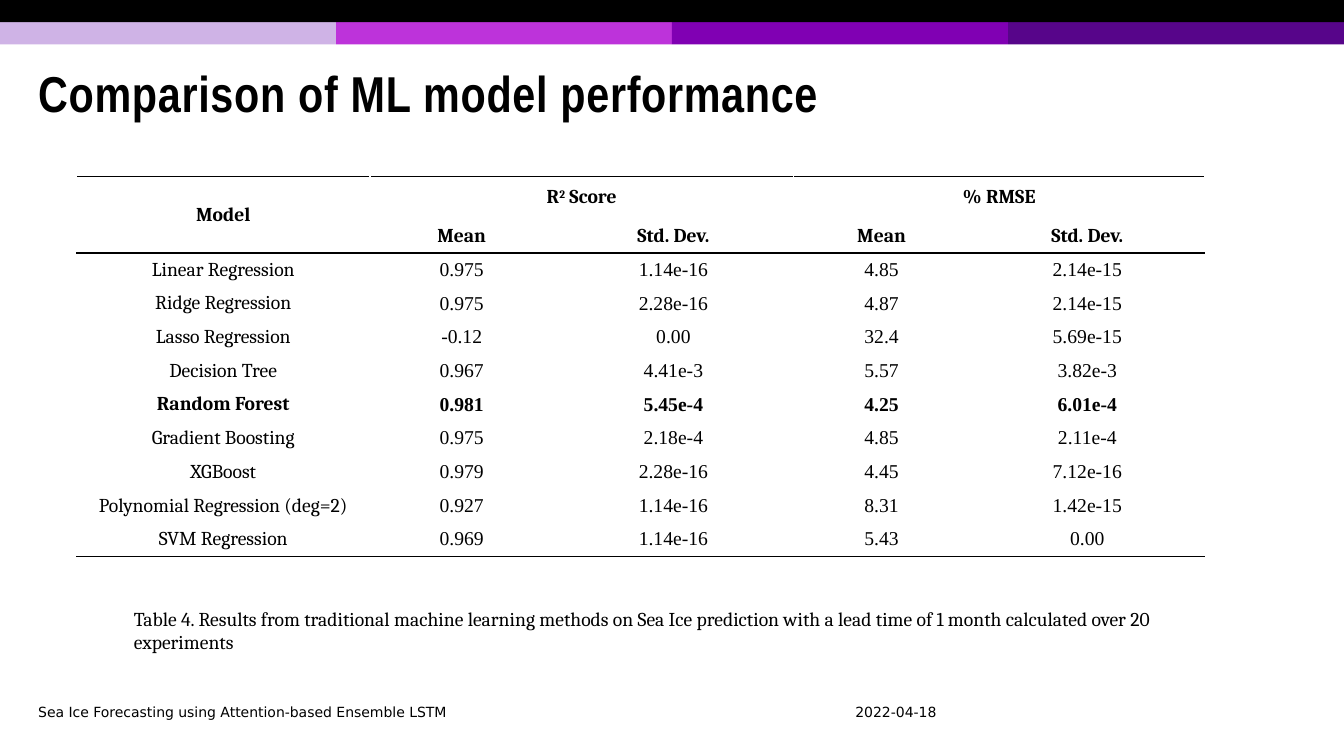
import pptx
import pptx.util
import pptx.dml.color
import pptx.enum.shapes
import pptx.enum.text
import pptx.oxml.ns
import lxml.etree

THEME = {
    "black": "000000",
    "white": "FFFFFF",
    "bands": ["CFB3E6", "BD33DA", "8000B3", "57058A"],
    "title": ("Arial Narrow", 36),
    "label": ("Cambria", 14),
    "value": ("Times New Roman", 14),
    "footer": ("DejaVu Sans", 10),
}
LEFT = pptx.enum.text.PP_ALIGN.LEFT
CENTER = pptx.enum.text.PP_ALIGN.CENTER
TOP = pptx.enum.text.MSO_ANCHOR.TOP
MIDDLE = pptx.enum.text.MSO_ANCHOR.MIDDLE
Inches = pptx.util.Inches

presentation = pptx.Presentation()
presentation.slide_width = Inches(13.33)
presentation.slide_height = Inches(7.5)
slide = presentation.slides.add_slide(presentation.slide_layouts[6])


def format_paragraph(paragraph, style, alignment, bold=False):
    paragraph.alignment = alignment
    for run in paragraph.runs:
        run.font.name = THEME[style][0]
        run.font.size = pptx.util.Pt(THEME[style][1])
        run.font.bold = bold
        run.font.color.rgb = pptx.dml.color.RGBColor.from_string(THEME["black"])


def draw_border(cell, side, color):
    line = lxml.etree.SubElement(
        cell._tc.get_or_add_tcPr(), pptx.oxml.ns.qn("a:ln" + side), w="12700"
    )
    fill = lxml.etree.SubElement(line, pptx.oxml.ns.qn("a:solidFill"))
    lxml.etree.SubElement(fill, pptx.oxml.ns.qn("a:srgbClr"), val=color)


band_width = presentation.slide_width / len(THEME["bands"])
band_height = Inches(0.22)
bands = [
    (index * band_width, band_height, band_width, color)
    for index, color in enumerate(THEME["bands"])
]
bands.append((0, 0, presentation.slide_width, THEME["black"]))
for left, top, width, color in bands:
    band = slide.shapes.add_shape(
        pptx.enum.shapes.MSO_SHAPE.RECTANGLE, int(left), top, int(width), band_height
    )
    band.shadow.inherit = False
    band.fill.solid()
    band.fill.fore_color.rgb = pptx.dml.color.RGBColor.from_string(color)
    band.line.fill.background()

caption = (
    "Table 4. Results from traditional machine learning methods on Sea Ice prediction "
    "with a lead time of 1 month calculated over 20 experiments"
)
texts = [
    ("Comparison of ML model performance", 0.28, 0.47, 12.65, 0.98, "title", LEFT, MIDDLE),
    ("Sea Ice Forecasting using Attention-based Ensemble LSTM",
     0.28, 6.93, 5.72, 0.27, "footer", LEFT, MIDDLE),
    (caption, 1.23, 5.97, 10.88, 0.57, "label", LEFT, TOP),
    ("2022-04-18", 8.24, 6.93, 1.29, 0.27, "footer", CENTER, MIDDLE),
]
for text, left, top, width, height, style, alignment, anchor in texts:
    box = slide.shapes.add_textbox(Inches(left), Inches(top), Inches(width), Inches(height))
    box.text_frame.word_wrap = True
    box.text_frame.vertical_anchor = anchor
    box.text_frame.text = text
    paragraph = box.text_frame.paragraphs[0]
    format_paragraph(paragraph, style, alignment, bold=style == "title")
    if style == "title":
        paragraph.line_spacing = 0.85
        paragraph.runs[0]._r.get_or_add_rPr().set("spc", "50")

rows = [
    ["Model", "R", "", "% RMSE", ""],
    ["", "Mean", "Std. Dev.", "Mean", "Std. Dev."],
    ["Linear Regression", "0.975", "1.14e-16", "4.85", "2.14e-15"],
    ["Ridge Regression", "0.975", "2.28e-16", "4.87", "2.14e-15"],
    ["Lasso Regression", "-0.12", "0.00", "32.4", "5.69e-15"],
    ["Decision Tree", "0.967", "4.41e-3", "5.57", "3.82e-3"],
    ["Random Forest", "0.981", "5.45e-4", "4.25", "6.01e-4"],
    ["Gradient Boosting", "0.975", "2.18e-4", "4.85", "2.11e-4"],
    ["XGBoost", "0.979", "2.28e-16", "4.45", "7.12e-16"],
    ["Polynomial Regression (deg=2)", "0.927", "1.14e-16", "8.31", "1.42e-15"],
    ["SVM Regression", "0.969", "1.14e-16", "5.43", "0.00"],
]
column_widths = [2.91, 1.82, 2.38, 1.75, 2.33]
header_rows = 2
body_height = 3.01 / (len(rows) - header_rows)
row_heights = [0.42, 0.34] + [body_height] * (len(rows) - header_rows)
ruled_edges = {0, header_rows, len(rows)}

table = slide.shapes.add_table(
    len(rows), len(column_widths),
    Inches(0.76), Inches(1.75), Inches(sum(column_widths)), Inches(sum(row_heights)),
).table
table.first_row = False
table.horz_banding = False
for column, width in zip(table.columns, column_widths):
    column.width = Inches(width)
for row, height in zip(table.rows, row_heights):
    row.height = Inches(height)

table.cell(0, 0).merge(table.cell(1, 0))
table.cell(0, 1).merge(table.cell(0, 2))
table.cell(0, 3).merge(table.cell(0, 4))

for row_index, row in enumerate(rows):
    is_header = row_index < header_rows
    for column_index, text in enumerate(row):
        cell = table.cell(row_index, column_index)
        cell.vertical_anchor = MIDDLE
        bottom_edge = row_index + (cell.span_height if cell.is_merge_origin else 1)
        edges = {"L": None, "R": None, "T": row_index, "B": bottom_edge}
        for side, edge in edges.items():
            draw_border(cell, side, THEME["black" if edge in ruled_edges else "white"])
        cell.fill.background()
        if text:
            cell.text_frame.text = text
            paragraph = cell.text_frame.paragraphs[0]
            if text == "R":
                exponent = paragraph.add_run()
                exponent.text = "2"
                exponent._r.get_or_add_rPr().set("baseline", "30000")
                paragraph.add_run().text = " Score"
            style = "label" if is_header or column_index == 0 else "value"
            format_paragraph(
                paragraph, style, CENTER, bold=is_header or row[0] == "Random Forest"
            )

presentation.save("out.pptx")
